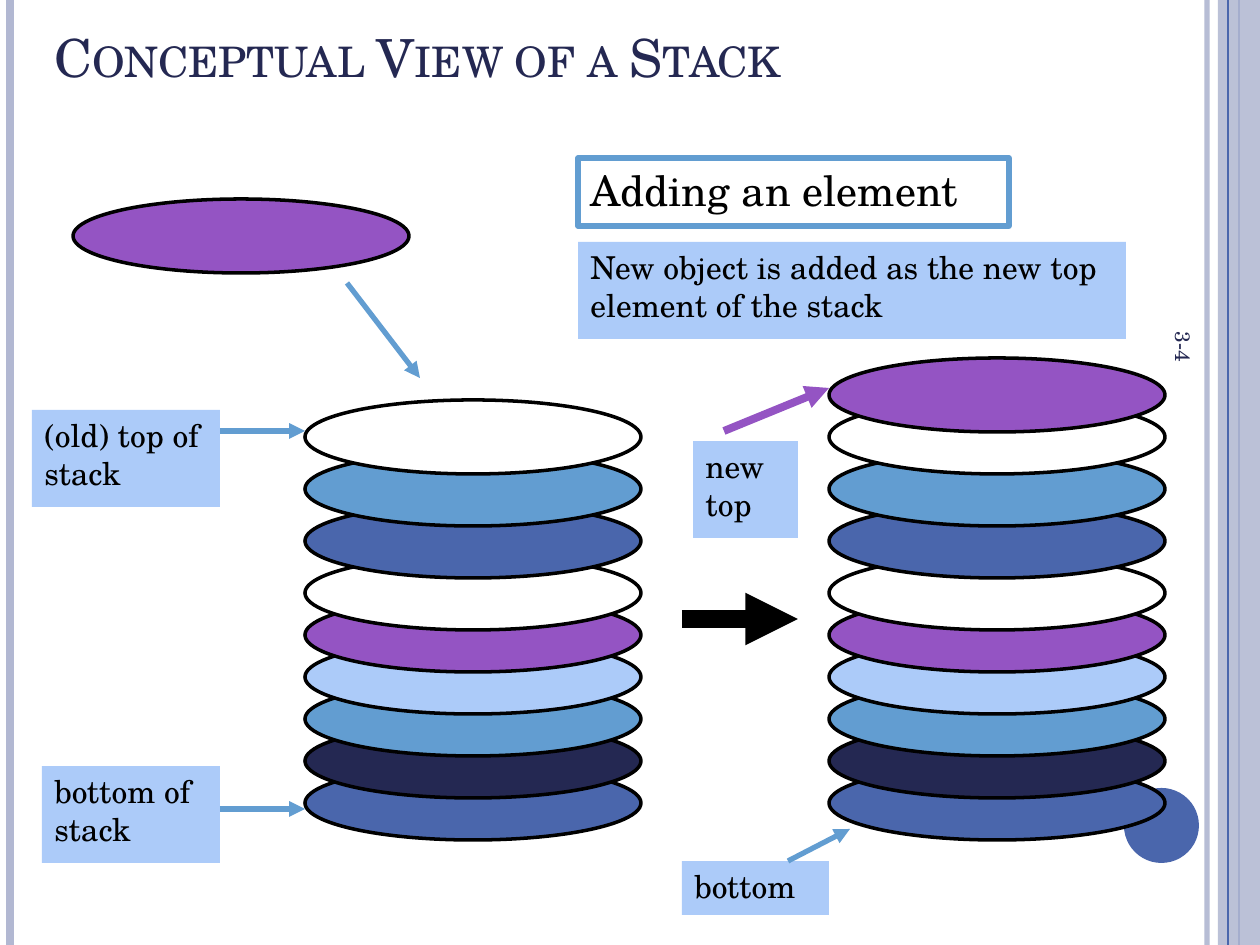
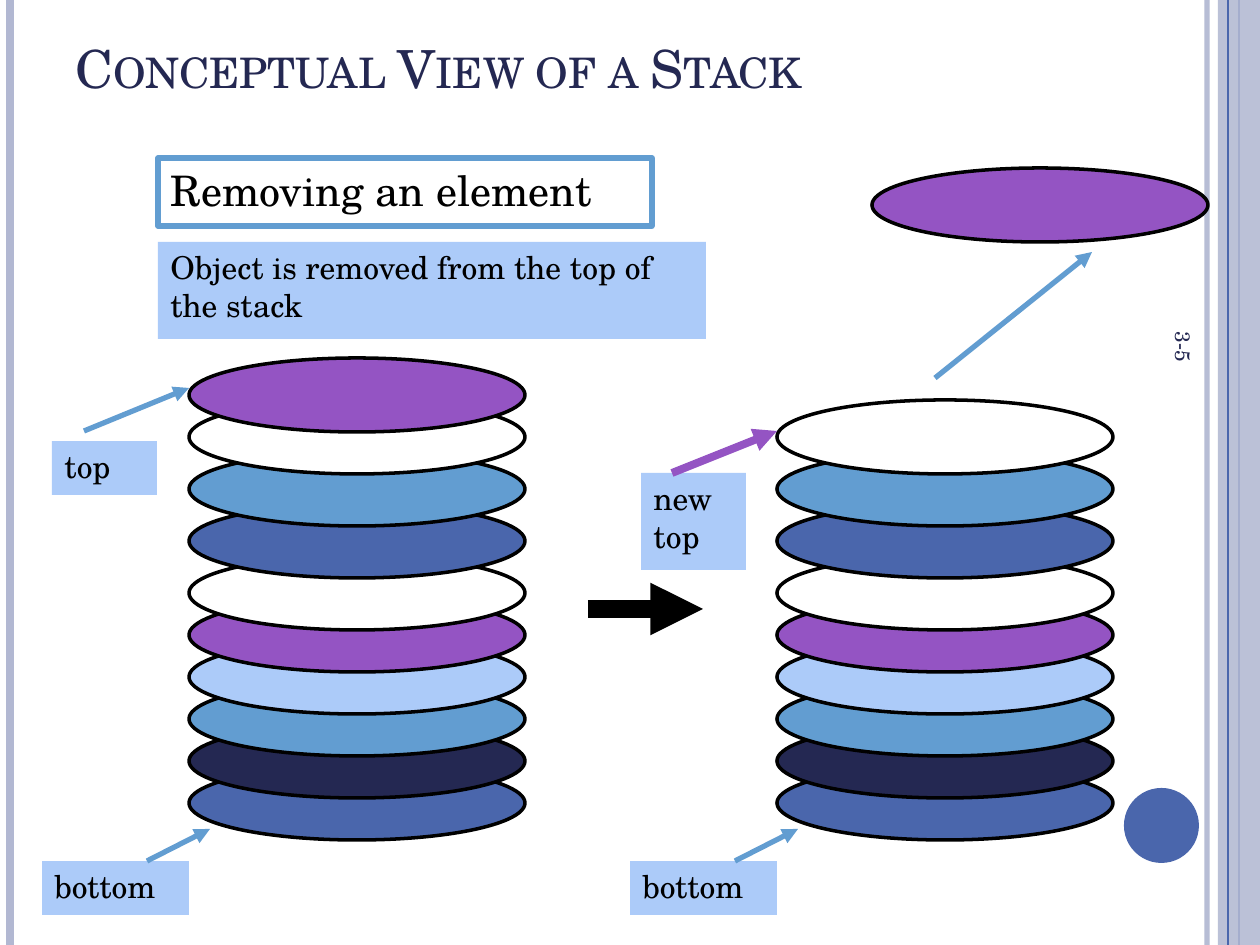
from lxml.etree import SubElement
from pptx import Presentation
from pptx.dml.color import RGBColor
from pptx.enum.shapes import MSO_CONNECTOR, MSO_SHAPE as SHAPE
from pptx.enum.text import MSO_ANCHOR as ANCHOR, PP_ALIGN
from pptx.oxml.ns import qn
from pptx.util import Emu, Pt

SCALE = 914400 / 126
FONT = "TeX Gyre Schola"
WHITE = RGBColor(0xFF, 0xFF, 0xFF)
BLACK = RGBColor(0x00, 0x00, 0x00)
NAVY = RGBColor(0x24, 0x28, 0x52)
BLUE = RGBColor(0x4A, 0x66, 0xAC)
SKY = RGBColor(0x62, 0x9D, 0xD1)
PALE = RGBColor(0xAC, 0xCB, 0xF9)
PURPLE = RGBColor(0x94, 0x54, 0xC3)
BAND = RGBColor(0xB2, 0xB8, 0xD2)

DISC_W, DISC_H, BOTTOM_Y = 336, 74, 766
DISCS = [(BLUE, 42), (NAVY, 42), (SKY, 42), (PALE, 42), (PURPLE, 42),
         (WHITE, 52), (BLUE, 52), (SKY, 52), (WHITE, 42), (PURPLE, 42)]

SLIDES = [
    dict(
        number="3-4",
        title=(42, -63),
        stacks=[(305, 9), (829, 10)],
        loose=(73, 199),
        heading=("Adding an element", 578, 431),
        note=("New object is added as the new top element of the stack", 578),
        labels=[("bottom of stack", 42, 766, 178, 97),
                ("(old) top of stack", 32, 410, 188, 97),
                ("new top", 693, 441, 105, 97),
                ("bottom", 682, 861, 147, 54)],
        arrows=[(220, 431, 305, 431, SKY, 3),
                (220, 809, 305, 809, SKY, 3),
                (347, 283, 420, 378, SKY, 3),
                (788, 861, 850, 829, SKY, 3),
                (724, 431, 829, 388, PURPLE, 4.5),
                (682, 619, 798, 619, BLACK, 10)],
    ),
    dict(
        number="3-5",
        title=(63, -52),
        stacks=[(189, 10), (777, 9)],
        loose=(872, 168),
        heading=("Removing an element", 158, 494),
        note=("Object is removed from the top of the stack", 158),
        labels=[("top", 52, 441, 105, 54),
                ("bottom", 42, 861, 147, 54),
                ("new top", 641, 473, 105, 97),
                ("bottom", 630, 861, 147, 54)],
        arrows=[(147, 861, 210, 829, SKY, 3),
                (84, 431, 189, 388, SKY, 3),
                (588, 609, 703, 609, BLACK, 10),
                (735, 861, 798, 829, SKY, 3),
                (672, 473, 777, 431, PURPLE, 4.5),
                (935, 378, 1092, 252, SKY, 3)],
    ),
]


def add_box(s, kind, box, fill=None, line=None, width=2, text="", size=18,
            color=BLACK, anchor=ANCHOR.TOP):
    sp = s.shapes.add_shape(kind, *[Emu(round(v * SCALE)) for v in box])
    sp.shadow.inherit = False
    if fill is None:
        sp.fill.background()
    else:
        sp.fill.solid()
        sp.fill.fore_color.rgb = fill
    if line is None:
        sp.line.fill.background()
    else:
        sp.line.color.rgb = line
        sp.line.width = Pt(width)
    if text:
        tf = sp.text_frame
        tf.word_wrap = True
        tf.vertical_anchor = anchor
        p = tf.paragraphs[0]
        p.text = text
        p.alignment = PP_ALIGN.LEFT
        font = p.runs[0].font
        font.name, font.size, font.color.rgb = FONT, Pt(size), color
    return sp


def add_line(s, x1, y1, x2, y2, color, width, arrow=False):
    ends = [Emu(round(v * SCALE)) for v in (x1, y1, x2, y2)]
    cx = s.shapes.add_connector(MSO_CONNECTOR.STRAIGHT, *ends)
    cx.line.color.rgb = color
    cx.line.width = Pt(width)
    if arrow:
        SubElement(cx.line._get_or_add_ln(), qn("a:tailEnd"), type="triangle")
    SubElement(cx._element.spPr, qn("a:effectLst"))
    return cx


prs = Presentation()
prs.slide_width = Emu(round(1260 * SCALE))
prs.slide_height = Emu(round(945 * SCALE))

for data in SLIDES:
    s = prs.slides.add_slide(prs.slide_layouts[6])

    inner_rule = add_line(s, 1207, 0, 1207, 945, BAND, 3)
    add_line(s, 10, 0, 10, 945, BAND, 4.5)
    add_line(s, 1239, 0, 1239, 945, BLUE, 1.5)
    band = add_box(s, SHAPE.RECTANGLE, (1218, 0, 42, 945), BAND)
    for part, alpha in ((inner_rule, 93000), (band, 87000)):
        rgb = next(part._element.spPr.iter(qn("a:srgbClr")))
        SubElement(rgb, qn("a:alpha"), val=str(alpha))
    add_line(s, 1228, 0, 1228, 945, BLUE, 0.75)
    add_box(s, SHAPE.OVAL, (1124, 788, 75, 75), BLUE)
    number = add_box(s, SHAPE.RECTANGLE, (963, 515, 441, 50), text=data["number"],
                     size=12, color=NAVY, anchor=ANCHOR.MIDDLE)
    number.rotation = 90

    title = add_box(s, SHAPE.RECTANGLE, (*data["title"], 1029, 157),
                    text="Conceptual View of a Stack", size=30, color=NAVY,
                    anchor=ANCHOR.BOTTOM)
    title.text_frame.paragraphs[0].runs[0].font._element.set("cap", "small")

    for x, count in data["stacks"]:
        y = BOTTOM_Y
        for fill, rise in DISCS[:count]:
            add_box(s, SHAPE.OVAL, (x, y, DISC_W, DISC_H), fill, BLACK)
            y -= rise
    add_box(s, SHAPE.OVAL, (*data["loose"], DISC_W, DISC_H), PURPLE, BLACK)

    text, x, w = data["heading"]
    add_box(s, SHAPE.RECTANGLE, (x, 158, w, 68), line=SKY, width=3, text=text, size=24)
    text, x = data["note"]
    add_box(s, SHAPE.RECTANGLE, (x, 242, 548, 97), PALE, text=text)
    for text, *box in data["labels"]:
        add_box(s, SHAPE.RECTANGLE, box, PALE, text=text)
    for arrow in data["arrows"]:
        add_line(s, *arrow, arrow=True)

prs.save("out.pptx")
